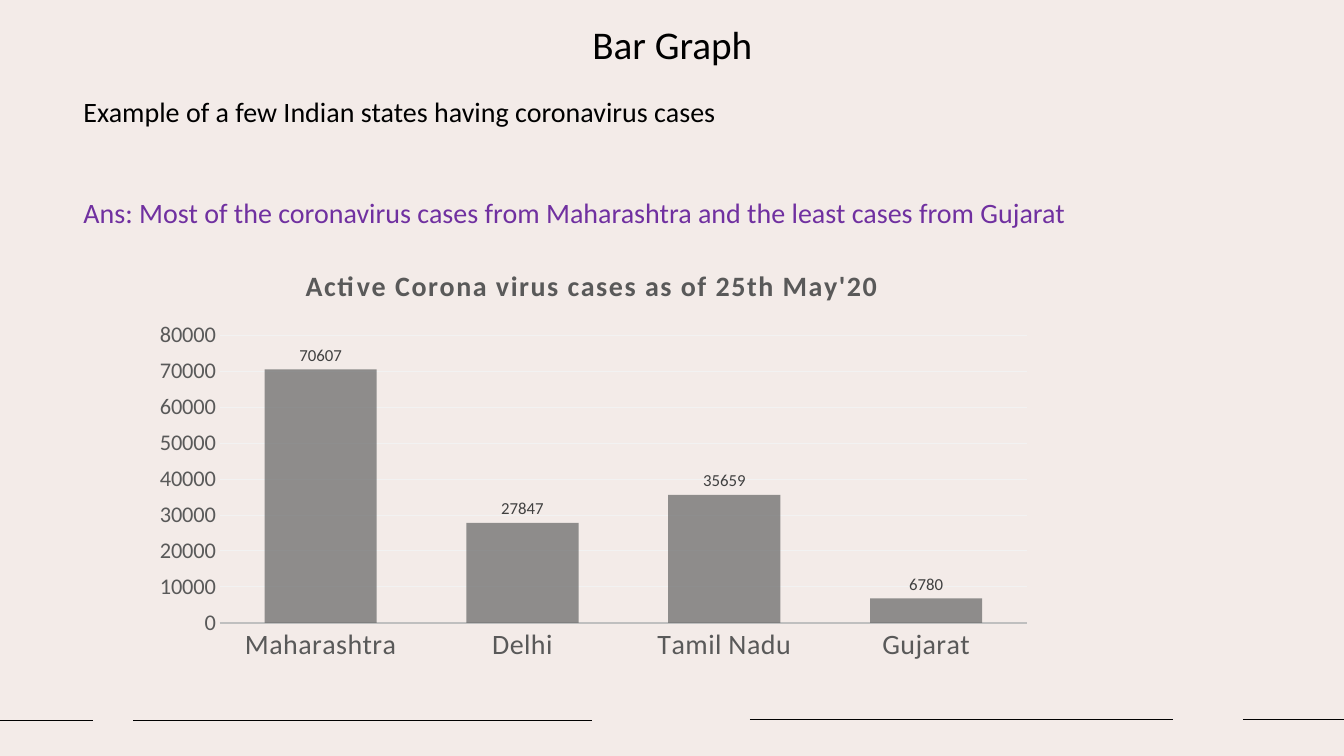
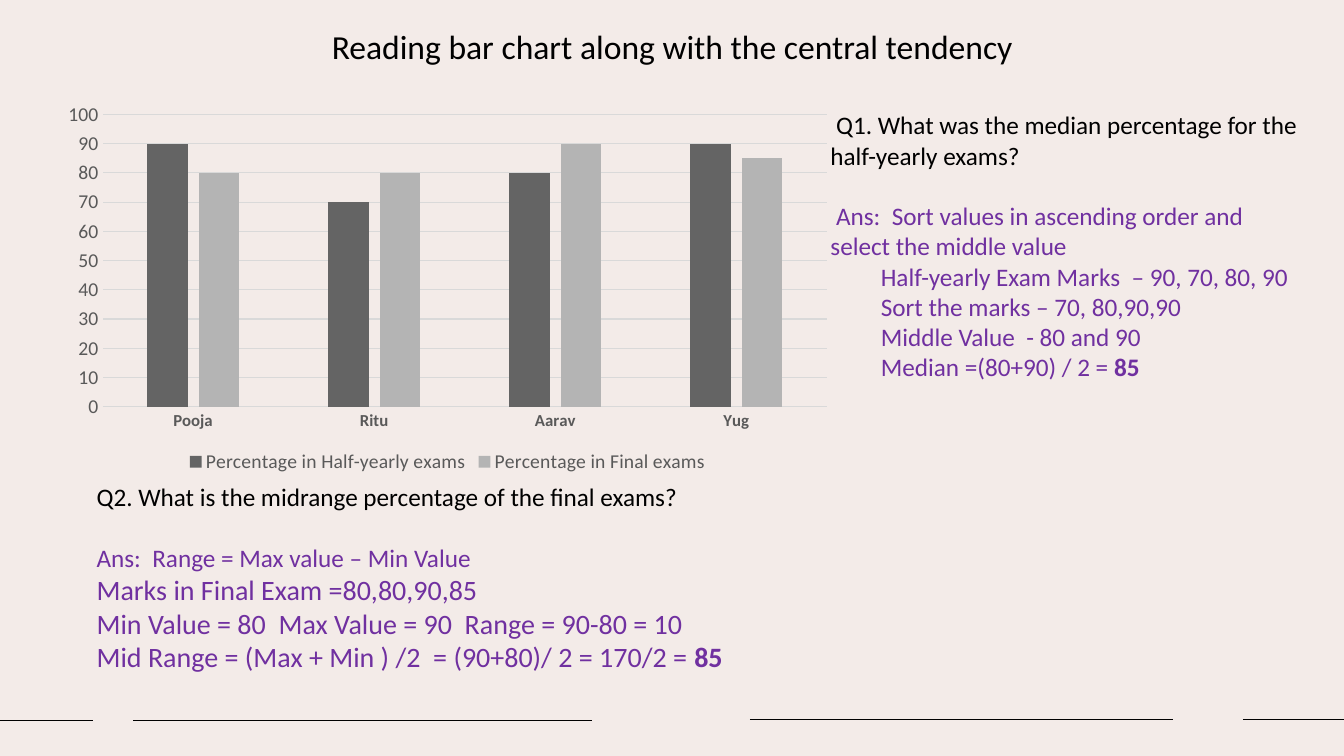
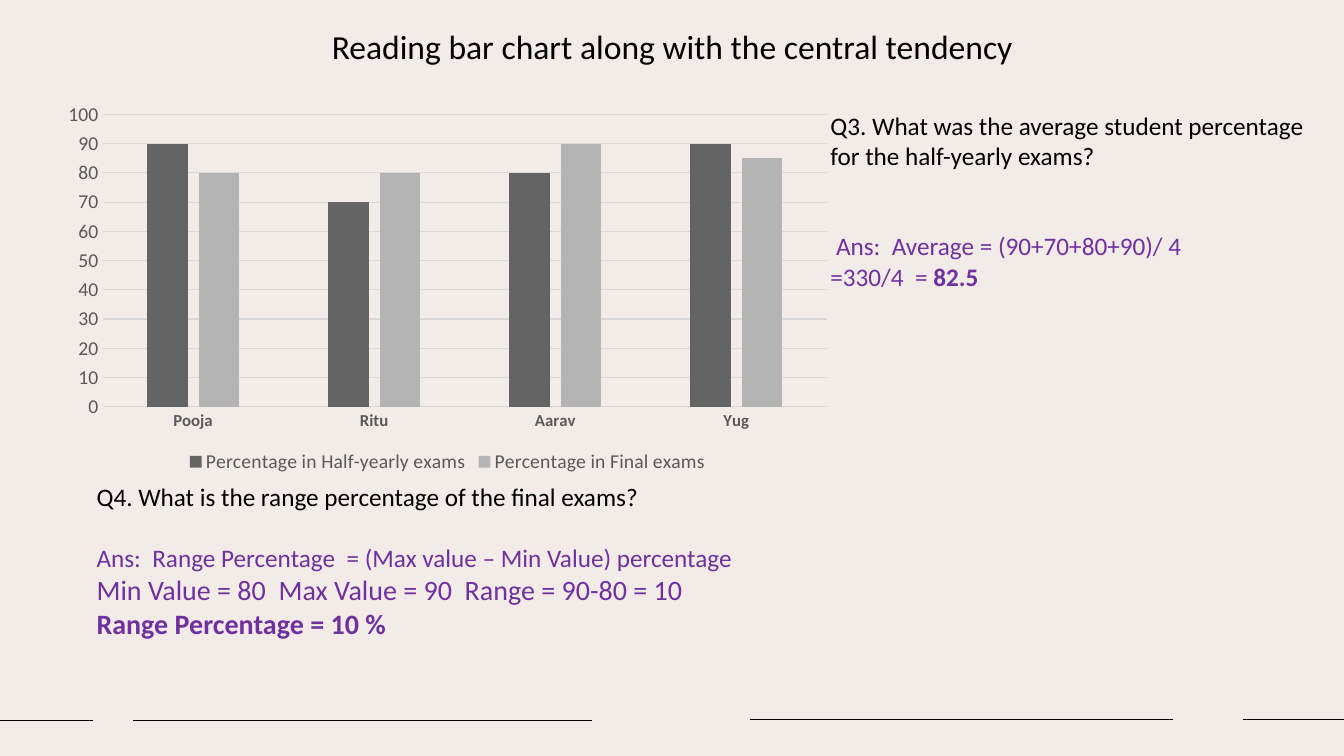
from dataclasses import dataclass

from lxml import etree
from pptx import Presentation
from pptx.chart.data import CategoryChartData
from pptx.dml.color import RGBColor
from pptx.enum.chart import XL_CHART_TYPE, XL_LABEL_POSITION, XL_LEGEND_POSITION, XL_TICK_MARK
from pptx.enum.shapes import MSO_CONNECTOR
from pptx.enum.text import MSO_ANCHOR, MSO_AUTO_SIZE, PP_ALIGN
from pptx.oxml.ns import qn
from pptx.util import Pt

COLUMNS = XL_CHART_TYPE.COLUMN_CLUSTERED
OUTSIDE_END = XL_LABEL_POSITION.OUTSIDE_END
LEGEND_BOTTOM = XL_LEGEND_POSITION.BOTTOM
NO_TICK = XL_TICK_MARK.NONE
STRAIGHT = MSO_CONNECTOR.STRAIGHT
TOP = MSO_ANCHOR.TOP
CENTER = PP_ALIGN.CENTER
FIXED_SIZE = MSO_AUTO_SIZE.NONE
GROW = MSO_AUTO_SIZE.SHAPE_TO_FIT_TEXT

COLORS = {
    "paper": "F3EBE8",
    "ink": "000000",
    "answer": "7030A0",
    "label": "595959",
    "value": "404040",
    "axis": "BFBFBF",
    "pale_grid": "F2F2F2",
    "grid": "D9D9D9",
    "dark_bar": "646464",
    "light_bar": "B4B4B4",
}
FONT = "Calibri"
TITLE_ONLY = 5
BLANK_LINE = 21.6
FOOTER_LINES = [(0, 66.24, 514.8), (95.04, 422.64, 514.8), (535.68, 838.08, 514.08), (887.76, 960, 514.08)]

TITLE_PLACE = (26.64, 15.12, 907.2, 59.76)
EXAM_CHART_PLACE = (37.44, 67.68, 564.48, 273.6)
EXAM_NAMES = ["Pooja", "Ritu", "Aarav", "Yug"]
EXAM_SERIES = [
    ("Percentage in Half-yearly exams", [90, 70, 80, 90], "dark_bar"),
    ("Percentage in Final exams", [80, 80, 90, 85], "light_bar"),
]


@dataclass
class Line:
    """One paragraph: plain text, then an optional bold ending."""
    text: str = ""
    strong: str = ""
    size: float = 18
    color: str = "answer"
    before: float = 0
    indent: float = 0


def rgb(name):
    return RGBColor.from_string(COLORS[name])


def apply(target, formats):
    for name, value in formats.items():
        setattr(target, name, value)


def points(place):
    return [Pt(length) for length in place]


class Deck:
    def __init__(self):
        self.deck = Presentation()
        apply(self.deck, {"slide_width": Pt(960), "slide_height": Pt(540)})
        self.master = self.deck.slide_master
        self.paint(self.master.background.fill, "paper")
        self.page = None

    def paint(self, fill, color):
        fill.solid()
        fill.fore_color.rgb = rgb(color)

    def style_font(self, font, size, color, bold=False):
        apply(font, {"name": FONT, "size": Pt(size), "bold": bold})
        font.color.rgb = rgb(color)

    def style_line(self, line, color, width):
        self.paint(line.fill, color)
        line.width = Pt(width)

    def new_page(self, title, place=TITLE_PLACE, size=24):
        first = self.page is None
        self.page = self.deck.slides.add_slide(self.deck.slide_layouts[TITLE_ONLY])
        if first:
            self.master_footer()
        box = self.page.shapes.title
        apply(box, dict(zip(("left", "top", "width", "height"), points(place))))
        self.fill_text(box.text_frame, [Line(title, size=size, color="ink")], FIXED_SIZE)
        box.text_frame.paragraphs[0].alignment = CENTER

    def master_footer(self):
        """Draw the footer lines and hand them to the master, which every page shows."""
        for number, (start, end, height) in enumerate(FOOTER_LINES, 20):
            connector = self.page.shapes.add_connector(STRAIGHT, *points((start, height, end, height)))
            self.style_line(connector.line, "ink", 1)
            element = connector.element
            etree.SubElement(element.spPr, qn("a:effectLst"))
            element.nvCxnSpPr.cNvPr.id = number
            self.master.element.cSld.spTree.append(element)

    def fill_text(self, frame, lines, auto_size):
        apply(frame, {
            "word_wrap": True, "auto_size": auto_size, "vertical_anchor": TOP,
            "margin_left": Pt(7.2), "margin_right": Pt(7.2),
            "margin_top": Pt(3.6), "margin_bottom": Pt(3.6),
        })
        for index, line in enumerate(lines):
            para = frame.add_paragraph() if index else frame.paragraphs[0]
            para.space_before = Pt(line.before)
            if line.indent:
                para._p.get_or_add_pPr().set("marL", str(Pt(line.indent)))
            for text, bold in ((line.text, False), (line.strong, True)):
                if text:
                    span = para.add_run()
                    span.text = text
                    self.style_font(span.font, line.size, line.color, bold)

    def text(self, place, lines):
        box = self.page.shapes.add_textbox(*points(place))
        self.fill_text(box.text_frame, lines, GROW)

    def question(self, place, question, answers, gap=BLANK_LINE):
        answers[0].before = gap
        self.text(place, [Line(question, color="ink"), *answers])

    def chart(self, place, names, series, gap, overlap, top, label_size, label_bold, value_size, axis_line, grid):
        data = CategoryChartData()
        data.categories = names
        for name, values, _ in series:
            data.add_series(name, values)
        chart = self.page.shapes.add_chart(COLUMNS, *points(place), data).chart
        apply(chart, {"has_title": False, "has_legend": False})
        self.style_font(chart.font, 10, "ink")

        plot = chart.plots[0]
        apply(plot, {"gap_width": gap, "overlap": overlap, "vary_by_categories": False})
        for bars, (_, _, color) in zip(plot.series, series):
            self.paint(bars.format.fill, color)
            bars.invert_if_negative = False

        names_axis, values_axis = chart.category_axis, chart.value_axis
        for axis in (names_axis, values_axis):
            apply(axis, {"major_tick_mark": NO_TICK, "minor_tick_mark": NO_TICK})
        apply(values_axis, {"minimum_scale": 0, "maximum_scale": top, "has_major_gridlines": True})
        self.style_font(names_axis.tick_labels.font, label_size, "label", label_bold)
        self.style_font(values_axis.tick_labels.font, value_size, "label")
        self.style_line(names_axis.format.line, *axis_line)
        self.style_line(values_axis.major_gridlines.format.line, grid, 0.75)
        values_axis.format.line.fill.background()
        return chart

    def chart_title(self, chart, title):
        chart.has_title = True
        frame = chart.chart_title.text_frame
        span = frame.paragraphs[0].add_run()
        span.text = title
        self.style_font(span.font, 20, "label", True)
        chart.chart_title.include_in_layout = False
        for path, spacing in (("c:chart/c:title//a:rPr", 100), ("c:chart/c:plotArea/c:catAx//a:defRPr", 20)):
            for properties in chart.element.xpath(path):
                properties.set("spc", str(spacing))

    def value_labels(self, chart):
        plot = chart.plots[0]
        plot.has_data_labels = True
        apply(plot.data_labels, {"show_value": True, "position": OUTSIDE_END})
        self.style_font(plot.data_labels.font, 12, "value")

    def fade_bars(self, chart, percent):
        for color in chart.element.xpath("//c:ser/c:spPr/a:solidFill/a:srgbClr"):
            etree.SubElement(color, qn("a:alpha"), val=str(percent * 1000))

    def place_plot(self, chart, fractions):
        """Fix the inner plot area as fractions of the chart's size."""
        area = chart.element.xpath("c:chart/c:plotArea")[0]
        for old in area.findall(qn("c:layout")):
            area.remove(old)
        layout = etree.Element(qn("c:layout"))
        area.insert(0, layout)
        manual = etree.SubElement(layout, qn("c:manualLayout"))
        settings = {"layoutTarget": "inner", "xMode": "edge", "yMode": "edge", **fractions}
        for name, value in settings.items():
            etree.SubElement(manual, qn("c:" + name), val=str(value))

    def exam_page(self):
        self.new_page("Reading bar chart along with the central tendency")
        chart = self.chart(EXAM_CHART_PLACE, EXAM_NAMES, EXAM_SERIES, gap=219, overlap=-27, top=100,
                           label_size=12, label_bold=True, value_size=14,
                           axis_line=("grid", 0.75), grid="grid")
        chart.has_legend = True
        apply(chart.legend, {"position": LEGEND_BOTTOM, "include_in_layout": False})
        self.style_font(chart.legend.font, 14, "label")

    def side_question(self, height, question, answers, gap=BLANK_LINE):
        self.question((586.08, 74.88, 352.8, height), question, answers, gap)

    def lower_question(self, height, question, answers):
        self.question((61.92, 340.56, 503.28, height), question, answers)


def cases_page(deck):
    deck.new_page("Bar Graph", (48.24, 10.8, 864, 59.04), 28)
    deck.text((52.56, 64.08, 907.2, 104), [
        Line("Example of a few Indian states having coronavirus cases", size=20, color="ink"),
        Line("Ans: Most of the coronavirus cases from Maharashtra and the least cases from Gujarat",
             size=20, before=48),
    ])
    chart = deck.chart((98.64, 176.4, 648, 301.68), ["Maharashtra", "Delhi", "Tamil Nadu", "Gujarat"],
                       [("Series 1", [70607, 27847, 35659, 6780], "dark_bar")],
                       gap=80, overlap=25, top=80000, label_size=20, label_bold=False, value_size=16,
                       axis_line=("axis", 1.25), grid="pale_grid")
    deck.chart_title(chart, "Active Corona virus cases as of 25th May'20")
    deck.value_labels(chart)
    deck.fade_bars(chart, 70)
    deck.place_plot(chart, {"x": 0.09, "y": 0.21, "w": 0.89, "h": 0.68})


def median_page(deck):
    deck.exam_page()
    deck.side_question(203.76, " Q1. What was the median percentage for the half-yearly exams?", [
        Line(" Ans:  Sort values in ascending order and select the middle value"),
        Line("Half-yearly Exam Marks  – 90, 70, 80, 90", indent=36),
        Line("Sort the marks – 70, 80,90,90", indent=36),
        Line("Middle Value  - 80 and 90", indent=36),
        Line("Median =(80+90) / 2 = ", "85", indent=36),
    ])
    deck.lower_question(145.44, "Q2. What is the midrange percentage of the final exams?", [
        Line("Ans:  Range = Max value – Min Value"),
        Line("Marks in Final Exam =80,80,90,85", size=20),
        Line("Min Value = 80  Max Value = 90  Range = 90-80 = 10", size=20),
        Line("Mid Range = (Max + Min ) /2  = (90+80)/ 2 = 170/2 = ", "85", size=20),
    ])


def average_page(deck):
    deck.exam_page()
    deck.side_question(138.24, "Q3. What was the average student percentage for the half-yearly exams?", [
        Line(" Ans:  Average = (90+70+80+90)/ 4"),
        Line("=330/4  = ", "82.5"),
    ], gap=2 * BLANK_LINE)
    deck.lower_question(120.96, "Q4. What is the range percentage of the final exams?", [
        Line("Ans:  Range Percentage  = (Max value – Min Value) percentage"),
        Line("Min Value = 80  Max Value = 90  Range = 90-80 = 10", size=20),
        Line(strong="Range Percentage = 10 %", size=20),
    ])


def main():
    deck = Deck()
    for build in (cases_page, median_page, average_page):
        build(deck)
    deck.deck.save("out.pptx")


if __name__ == "__main__":
    main()
